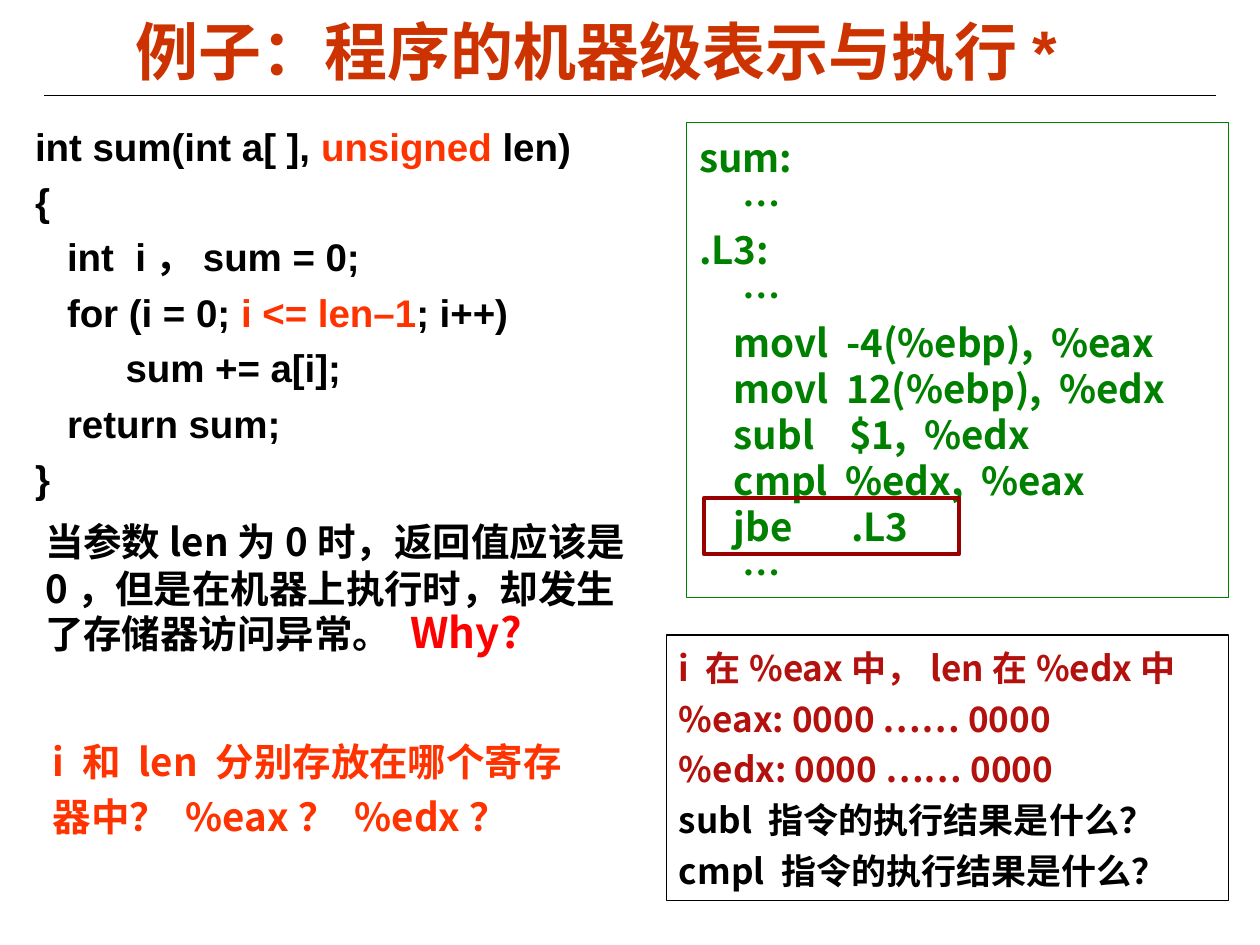
import pptx
import pptx.dml.color
import pptx.enum.shapes
import pptx.enum.text
import pptx.oxml.ns
import pptx.util
from lxml import etree

Inches, Pt = pptx.util.Inches, pptx.util.Pt
qn = pptx.oxml.ns.qn
ANCHOR = pptx.enum.text.MSO_ANCHOR
CJK = "Noto Sans CJK SC"
BLACK, GREEN, ORANGE, CRIMSON = "000000", "008000", "FF3300", "B3110D"


def rgb(value):
    """Return the colour for a hex string."""
    return pptx.dml.color.RGBColor.from_string(value)


class SlideBuilder:
    """Hold the deck style and the current slide."""

    def __init__(self, deck):
        """Add a title-only slide to the deck."""
        self.slide = deck.slides.add_slide(deck.slide_layouts[5])

    def style(self, paragraph, size, color, face):
        """Set the bold font shared by all runs of a paragraph."""
        font = paragraph.font
        font.size, font.bold, font.name = Pt(size), True, face
        font.color.rgb = rgb(color)
        defaults = paragraph._p.pPr.find(qn("a:defRPr"))
        etree.SubElement(defaults, qn("a:ea"), typeface=CJK)

    def fill_text(self, shape, lines, size, color, face=CJK, spacing=None,
                  before=0, hanging=0, anchor=ANCHOR.MIDDLE):
        """Fill a shape with lines of text or (text, colour, size) runs."""
        frame = shape.text_frame
        frame.word_wrap = True
        frame.vertical_anchor = anchor
        if face == CJK:
            frame.margin_top, frame.margin_bottom = Inches(0.09), Inches(0.01)
        for index, line in enumerate(lines):
            paragraph = frame.add_paragraph() if index else frame.paragraphs[0]
            paragraph.alignment = pptx.enum.text.PP_ALIGN.LEFT
            paragraph.line_spacing = spacing
            paragraph.space_before = Pt(before if index else 0)
            if hanging:
                properties = paragraph._p.get_or_add_pPr()
                properties.set("marL", str(Inches(hanging)))
                properties.set("indent", str(-Inches(hanging)))
            self.style(paragraph, size, color, face)
            for text, run_color, run_size in [(line, None, None)] if isinstance(line, str) else line:
                run = paragraph.add_run()
                run.text = text
                if run_color:
                    run.font.color.rgb = rgb(run_color)
                if run_size:
                    run.font.size = Pt(run_size)

    def title(self, text, box, size, color):
        """Place and format the title."""
        title = self.slide.shapes.title
        title.left, title.top, title.width, title.height = map(Inches, box)
        self.fill_text(title, [text], size, color, "Arial")
        title.text_frame.paragraphs[0].alignment = pptx.enum.text.PP_ALIGN.CENTER

    def text(self, lines, box, size, color, **layout):
        """Add a text box."""
        self.fill_text(self.slide.shapes.add_textbox(*map(Inches, box)),
                       lines, size, color, **layout)

    def frame(self, box, line, width=0.75, fill=None):
        """Add an outlined rectangle."""
        shape = self.slide.shapes.add_shape(
            pptx.enum.shapes.MSO_SHAPE.RECTANGLE, *map(Inches, box))
        shape.shadow.inherit = False
        if fill:
            shape.fill.solid()
            shape.fill.fore_color.rgb = rgb(fill)
        else:
            shape.fill.background()
        shape.line.color.rgb = rgb(line)
        shape.line.width = Pt(width)
        return shape

    def rule(self, left, right, y):
        """Add a thin horizontal line."""
        line = self.slide.shapes.add_connector(
            pptx.enum.shapes.MSO_CONNECTOR.STRAIGHT,
            Inches(left), Inches(y), Inches(right), Inches(y))
        line.line.color.rgb = rgb(BLACK)
        line.line.width = Pt(0.75)
        etree.SubElement(line._element.spPr, qn("a:effectLst"))


def main():
    """Build the slide and save it."""
    deck = pptx.Presentation()
    deck.slide_width, deck.slide_height = Inches(10), Inches(7.5)
    builder = SlideBuilder(deck)
    builder.rule(0.35, 9.65, 0.76)
    builder.title("例子：程序的机器级表示与执行*", (0.23, 0.11, 9, 0.58), 36, "CC3300")

    source_code = [
        [("int sum(int a[ ], ", None, None), ("unsigned", ORANGE, None), (" len)", None, None)],
        "{",
        "   int  i，sum = 0;",
        [("   for (i = 0; ", None, None), ("i <= len–1", ORANGE, None), ("; i++)", None, None)],
        "\t    sum += a[i];",
        "   return sum;",
        "}",
    ]
    builder.text(source_code, (0.18, 0.85, 4.96, 2.99), 22, BLACK, face="Arial",
                 spacing=1.2, hanging=0.38, anchor=ANCHOR.TOP)

    problem = [[("当参数len为0时，返回值应该是0，但是在机器上执行时，却发生了存储器访问异常。", None, None),
                (" Why?", "FF0000", 24)]]
    builder.text(problem, (0.26, 4.01, 4.89, 1.23), 22, BLACK, spacing=Pt(26.4))

    assembly = [
        "sum:",
        "     …",
        ".L3:",
        "     …",
        "    movl  -4(%ebp),  %eax",
        "    movl  12(%ebp),  %edx",
        "    subl    $1,  %edx",
        "    cmpl  %edx,  %eax",
        "    jbe\t   .L3",
        "     …",
    ]
    builder.fill_text(builder.frame((5.45, 0.97, 4.3, 3.77), GREEN), assembly,
                      22, GREEN, spacing=Pt(26.4))

    registers = [
        "i 在%eax中，len在%edx中",
        "%eax: 0000 …… 0000",
        "%edx: 0000 …… 0000",
        [("subl 指令的执行结果是什么？", BLACK, None)],
        [("cmpl 指令的执行结果是什么？", BLACK, None)],
    ]
    builder.fill_text(builder.frame((5.29, 5.04, 4.46, 2.11), BLACK, fill="FFFFFF"), registers,
                      20, CRIMSON, spacing=Pt(24), before=5, anchor=ANCHOR.TOP)

    builder.text(["i 和 len 分别存放在哪个寄存器中？ %eax？ %edx？"],
                 (0.32, 5.69, 4.41, 0.98), 22, ORANGE, spacing=Pt(31.6))
    builder.frame((5.59, 3.95, 2.02, 0.45), "990000", 2.25)
    deck.save("out.pptx")


if __name__ == "__main__":
    main()
